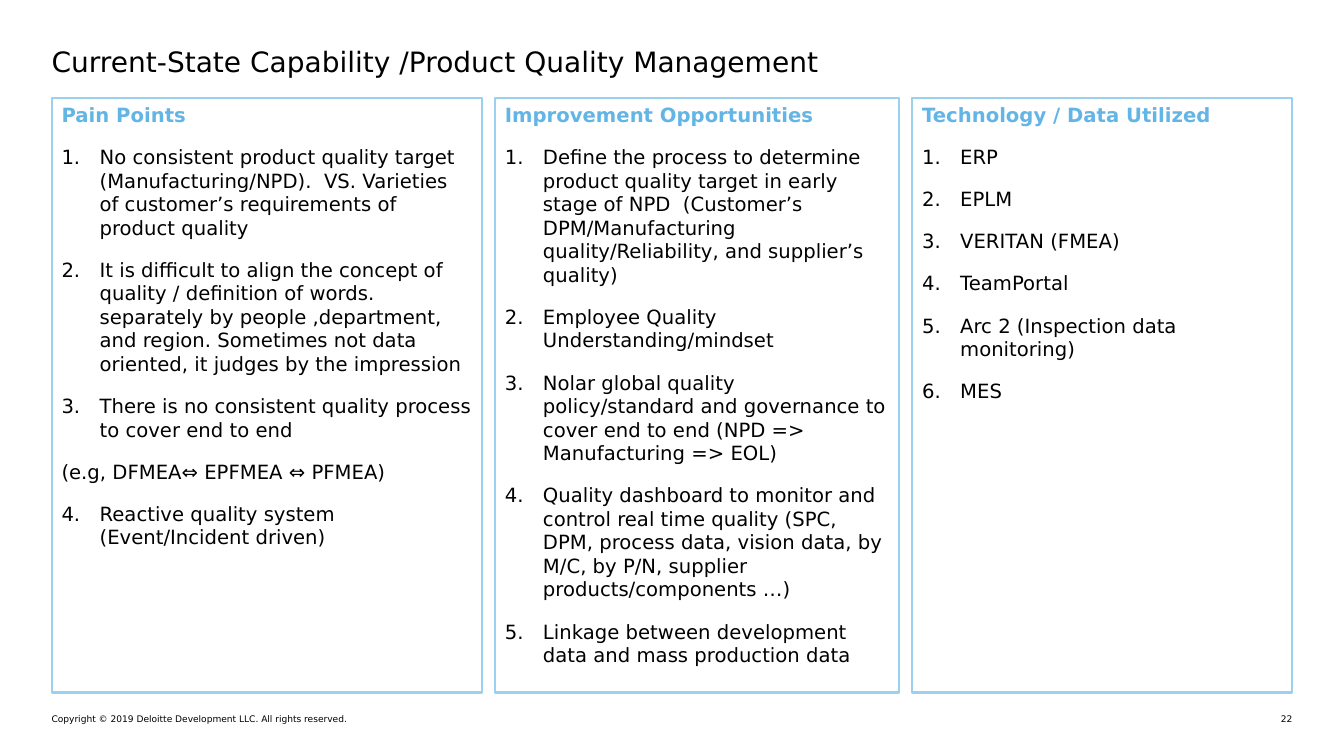
from pptx import Presentation
from pptx.dml.color import RGBColor
from pptx.enum.text import MSO_ANCHOR, MSO_AUTO_SIZE, PP_ALIGN
from pptx.oxml.xmlchemy import OxmlElement
from pptx.util import Cm, Pt

LEFT, RIGHT = PP_ALIGN.LEFT, PP_ALIGN.RIGHT
TOP = MSO_ANCHOR.TOP
NO_FIT = MSO_AUTO_SIZE.NONE
BLACK = RGBColor(0x00, 0x00, 0x00)
BLUE = RGBColor(0x62, 0xB5, 0xE5)
PALE = RGBColor(0x9B, 0xD0, 0xEE)
FONT = "DejaVu Sans"
EDGE, GAP = 1.3, 0.32
INDENT = 0.96

PANELS = [
    (10.85, "Pain Points", [
        (1, "No consistent product quality target (Manufacturing/NPD).  VS. Varieties of customer’s requirements of product quality"),
        (2, "It is difficult to align the concept of quality / definition of words.  separately by people ,department, and region. Sometimes not data oriented, it judges by the impression"),
        (3, "There is no consistent quality process to cover end to end"),
        (None, "(e.g, DFMEA⇔ EPFMEA ⇔ PFMEA)"),
        (4, "Reactive quality system (Event/Incident driven)"),
    ]),
    (10.19, "Improvement Opportunities", list(enumerate([
        "Define the process to determine product quality target in early stage of NPD  (Customer’s DPM/Manufacturing quality/Reliability, and supplier’s quality)",
        "Employee Quality Understanding/mindset",
        "Nolar global quality policy/standard and governance to cover end to end (NPD => Manufacturing => EOL)",
        "Quality dashboard to monitor and control real time quality (SPC, DPM, process data, vision data, by M/C, by P/N, supplier products/components …)",
        "Linkage between development data and mass production data",
    ], 1))),
    (9.58, "Technology / Data Utilized", list(enumerate([
        "ERP",
        "EPLM",
        "VERITAN (FMEA)",
        "TeamPortal",
        "Arc 2 (Inspection data monitoring)",
        "MES",
    ], 1))),
]


class Page:
    def __init__(self, deck):
        self.slide = deck.slides.add_slide(deck.slide_layouts[4])
        self.holes = list(self.slide.placeholders)

    def place(self, shape, left, top, width, height):
        shape.left, shape.top = Cm(left), Cm(top)
        shape.width, shape.height = Cm(width), Cm(height)

    def frame(self, shape, inset=True):
        frame = shape.text_frame
        frame.word_wrap = True
        frame.auto_size = NO_FIT
        frame.vertical_anchor = TOP
        side, edge = (Cm(0.25), Cm(0.13)) if inset else (0, 0)
        frame.margin_left = frame.margin_right = side
        frame.margin_top = frame.margin_bottom = edge
        return frame

    def style(self, para, text, size, color=BLACK, bold=False, align=LEFT, after=0):
        para.text = text
        para.alignment = align
        para.line_spacing = 1.0
        para.space_before = Pt(0)
        para.space_after = Pt(after)
        font = para.font
        font.name, font.size, font.bold = FONT, Pt(size), bold
        font.color.rgb = color

    def bullet(self, para, number):
        props = para._p.get_or_add_pPr()
        props.set("marL", str(Cm(INDENT) if number else 0))
        props.set("indent", str(-Cm(INDENT) if number else 0))
        mark = OxmlElement("a:buAutoNum" if number else "a:buNone")
        if number:
            mark.set("type", "arabicPeriod")
            if number > 1:
                mark.set("startAt", str(number))
        props.append(mark)

    def title(self, text):
        shape = self.holes.pop(0)
        self.place(shape, EDGE, 1.12, 31.27, 0.94)
        self.style(self.frame(shape, False).paragraphs[0], text, 20)

    def panel(self, left, width, head, items):
        shape = self.holes.pop(0)
        self.place(shape, left, 2.46, width, 14.99)
        shape.line.color.rgb = PALE
        shape.line.width = Pt(1.5)
        frame = self.frame(shape)
        para = frame.paragraphs[0]
        self.bullet(para, None)
        self.style(para, head, 14, BLUE, True, after=13.3)
        for number, text in items:
            para = frame.add_paragraph()
            self.bullet(para, number)
            self.style(para, text, 14, after=13.3)

    def note(self, text, left, width, align=LEFT):
        shape = self.slide.shapes.add_textbox(Cm(left), Cm(17.98), Cm(width), Cm(0.28))
        self.style(self.frame(shape, False).paragraphs[0], text, 6.5, align=align)

    def tidy(self):
        for shape in self.holes:
            shape.element.getparent().remove(shape.element)


def main():
    deck = Presentation()
    deck.slide_width, deck.slide_height = Cm(33.86), Cm(19.05)
    page = Page(deck)
    page.title("Current-State Capability /Product Quality Management")
    left = EDGE
    for width, head, items in PANELS:
        page.panel(left, width, head, items)
        left += width + GAP
    page.note("Copyright © 2019 Deloitte Development LLC. All rights reserved.", EDGE, 14.88)
    page.note("22", 31.7, 0.86, RIGHT)
    page.tidy()
    deck.save("out.pptx")


if __name__ == "__main__":
    main()
